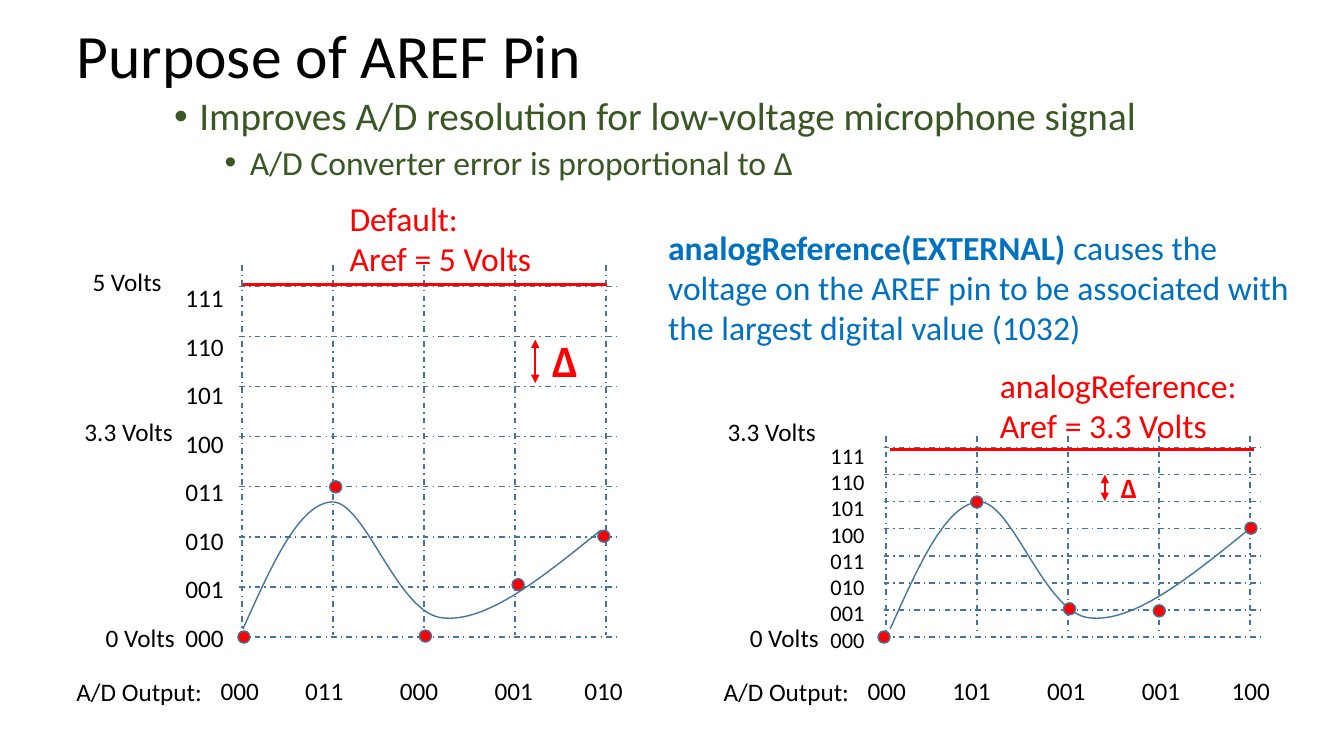
from dataclasses import dataclass

import pptx
import pptx.dml.color
import pptx.enum.dml
import pptx.enum.shapes
import pptx.enum.text
import pptx.oxml
import pptx.oxml.ns
import pptx.util

COLUMNS, ROWS = 133.33, 75  # grid over the whole slide
CURVE = [(0, 62.4), (2.8, 56.2), (5.5, 50), (8.8, 49.8), (12.1, 49.6), (15.3, 60.9),
         (19.8, 61.3), (24.2, 61.8), (29.8, 57.2), (35.5, 52.6)]


@dataclass(frozen=True)
class Theme:
    font: str = "Calibri"
    black: str = "000000"
    red: str = "FF0000"
    steel: str = "43739E"
    green: str = "385723"
    blue: str = "0070C0"
    title: float = 44
    bullet: float = 28
    body: float = 24
    label: float = 18
    code: float = 16
    thin: float = 1
    arrow: float = 1.5
    thick: float = 2.25


@dataclass(frozen=True)
class Plot:
    grid_left: float
    grid_top: float
    top_level: float
    curve_left: float
    reference: float
    code_box: tuple
    code_step: float
    code_size: float
    outputs: str
    samples: list


class SlideBuilder:
    def __init__(self, presentation, theme):
        self.theme = theme
        self.column = presentation.slide_width / COLUMNS
        self.row = presentation.slide_height / ROWS
        self.slide = presentation.slides.add_slide(presentation.slide_layouts[5])
        self.shapes = self.slide.shapes

    def place(self, left, top, width, height):
        """Turn columns and rows into slide lengths."""
        return (round(left * self.column), round(top * self.row),
                round(width * self.column), round(height * self.row))

    def color(self, value):
        return pptx.dml.color.RGBColor.from_string(value)

    def format_runs(self, paragraph, size, color, bold=False):
        for run in paragraph.runs:
            run.font.name = self.theme.font
            run.font.size = pptx.util.Pt(size)
            run.font.bold = bold
            run.font.color.rgb = self.color(color)

    def outline(self, shape, color, weight):
        shape.line.color.rgb = self.color(color)
        shape.line.width = pptx.util.Pt(weight)

    def title(self, text, box):
        shape = self.shapes.title
        shape.left, shape.top, shape.width, shape.height = self.place(*box)
        frame = shape.text_frame
        frame.text = text
        frame.auto_size = pptx.enum.text.MSO_AUTO_SIZE.NONE
        frame.vertical_anchor = pptx.enum.text.MSO_ANCHOR.MIDDLE
        paragraph = frame.paragraphs[0]
        paragraph.alignment = pptx.enum.text.PP_ALIGN.LEFT
        paragraph.line_spacing = 0.9
        self.format_runs(paragraph, self.theme.title, self.theme.black)

    def text(self, text, box, size, color, bold=False, wrap=False):
        shape = self.shapes.add_textbox(*self.place(*box))
        frame = shape.text_frame
        frame.text = text
        frame.word_wrap = wrap
        if not wrap:
            frame.auto_size = pptx.enum.text.MSO_AUTO_SIZE.SHAPE_TO_FIT_TEXT
        for paragraph in frame.paragraphs:
            self.format_runs(paragraph, size, color, bold)
        return frame

    def label(self, text, box):
        return self.text(text, box, self.theme.label, self.theme.black)

    def bullets(self, items, box):
        """Items are (text, size, left margin, space before)."""
        frame = self.text("\n".join(item[0] for item in items), box,
                          self.theme.body, self.theme.green, wrap=True)
        for level, (paragraph, item) in enumerate(zip(frame.paragraphs, items)):
            _, size, margin, space = item
            self.format_runs(paragraph, size, self.theme.green)
            paragraph.level = level
            paragraph.line_spacing = 0.9
            paragraph.space_before = pptx.util.Pt(space)
            properties = paragraph._p.get_or_add_pPr()
            properties.set("marL", str(round(margin * self.column)))
            properties.set("indent", str(round(-2.5 * self.column)))
            for tag, name, value in (("a:buFont", "typeface", "Arial"), ("a:buChar", "char", "•")):
                mark = pptx.oxml.ns.qn(tag)
                properties.append(properties.makeelement(mark, {name: value}))

    def tabbed(self, text, box, stops):
        frame = self.text(text, box, self.theme.label, self.theme.black, wrap=True)
        properties = frame.paragraphs[0]._p.get_or_add_pPr()
        tabs = properties.makeelement(pptx.oxml.ns.qn("a:tabLst"), {})
        for stop in stops:
            position = {"pos": str(round(stop * self.column)), "algn": "l"}
            tabs.append(tabs.makeelement(pptx.oxml.ns.qn("a:tab"), position))
        properties.append(tabs)

    def line(self, start, end, color, weight, dashed=False, arrows=False):
        start_x, start_y, end_x, end_y = self.place(*start, *end)
        connector = self.shapes.add_connector(
            pptx.enum.shapes.MSO_CONNECTOR.STRAIGHT, start_x, start_y, end_x, end_y)
        self.outline(connector, color, weight)
        if dashed:
            connector.line.dash_style = pptx.enum.dml.MSO_LINE.DASH_DOT
        properties = connector._element.spPr
        if arrows:
            stroke = connector.line._get_or_add_ln()
            for tag in ("a:headEnd", "a:tailEnd"):
                stroke.append(stroke.makeelement(pptx.oxml.ns.qn(tag), {"type": "triangle"}))
        properties.append(properties.makeelement(pptx.oxml.ns.qn("a:effectLst"), {}))

    def dot(self, x, y, size=1.2):
        shape = self.shapes.add_shape(
            pptx.enum.shapes.MSO_SHAPE.OVAL, *self.place(x - size / 2, y - size / 2, size, size))
        shape.shadow.inherit = False
        shape.fill.solid()
        shape.fill.fore_color.rgb = self.color(self.theme.red)
        self.outline(shape, self.theme.steel, self.theme.thin)

    def curve(self, points):
        """Draw cubic segments: a start, then two controls and an end for each."""
        spots = [self.place(x, y, 0, 0)[:2] for x, y in points]
        builder = self.shapes.build_freeform(*spots[0])
        builder.add_line_segments(spots[1:], close=False)
        shape = builder.convert_to_shape()
        shape.shadow.inherit = False
        shape.fill.background()
        self.outline(shape, self.theme.steel, self.theme.thin)
        outline = next(shape._element.iter(pptx.oxml.ns.qn("a:path")))
        segments = outline.findall(pptx.oxml.ns.qn("a:lnTo"))
        for first in range(0, len(segments), 3):
            cubic = outline.makeelement(pptx.oxml.ns.qn("a:cubicBezTo"), {})
            for segment in segments[first:first + 3]:
                cubic.append(segment[0])
                outline.remove(segment)
            outline.append(cubic)

    def plot(self, plot):
        theme, bottom = self.theme, 63.2
        for index in range(5):
            x = plot.grid_left + 9.03 * index
            self.line((x, plot.grid_top), (x, 63), theme.steel, theme.thin, dashed=True)
        for index in range(8):
            y = bottom - (bottom - plot.top_level) * index / 7
            self.line((plot.grid_left - 0.25, y), (plot.grid_left + 37.4, y),
                      theme.steel, theme.thin, dashed=True)
            left, top, width, height = plot.code_box
            self.text(f"{index:03b}", (left, top - plot.code_step * index, width, height),
                      plot.code_size, theme.black)
        left = plot.curve_left
        self.curve([(left + x, y) for x, y in CURVE])
        for sample in plot.samples:
            self.dot(*sample)
        self.line((left, plot.reference), (left + 36.1, plot.reference), theme.red, theme.thick)
        self.label("A/D Output:", (left - 17.5, 66.6, 14.6, 4))
        self.tabbed(plot.outputs, (left - 3.2, 66.5, 42.6, 4), (8.4, 17.8, 27.2, 36.1))


def main():
    presentation = pptx.Presentation()
    presentation.slide_width = pptx.util.Inches(13.33)
    presentation.slide_height = pptx.util.Inches(7.5)
    theme = Theme()
    builder = SlideBuilder(presentation, theme)

    builder.title("Purpose of AREF Pin", (6.6, 1.3, 120, 9.1))
    builder.bullets([
        ("Improves A/D resolution for low-voltage microphone signal", theme.bullet, 2.5, 10),
        ("A/D Converter error is proportional to Δ", theme.body, 7.5, 5),
    ], (16.3, 9.1, 110.3, 8.9))

    builder.plot(Plot(24, 26.3, 28.4, 24.1, 28.2, (17.4, 61.2, 5.9, 4), 4.81, theme.label,
                      "000\t011\t000\t001\t010",
                      [(24.2, 63.2), (33.3, 48.3), (42.2, 63.1), (51.4, 58), (59.9, 53.2)]))
    builder.plot(Plot(87.9, 43.3, 44.4, 88.3, 44.6, (81.4, 61.6, 5.4, 3.5), 2.61, theme.code,
                      "000\t101\t001\t001\t100",
                      [(87.7, 63.2), (96.9, 49.8), (106.1, 60.4), (115, 60.6), (124.1, 52.4)]))

    for text, left, top, width in (("5 Volts", 8.2, 25.9, 8.9), ("3.3 Volts", 7.4, 40.8, 10.9),
                                   ("0 Volts", 9.5, 61.2, 8.9), ("3.3 Volts", 71.2, 40.8, 10.9),
                                   ("0 Volts", 73.4, 61.2, 8.9)):
        builder.label(text, (left, top, width, 4))
    for text, box in (("Default:\nAref = 5 Volts", (33.7, 19.1, 20.2, 9.1)),
                      ("analogReference:\nAref = 3.3 Volts", (98.2, 35.7, 26.5, 9.1))):
        builder.text(text, box, theme.body, theme.red)
    for box, size, x, low, high in (((53.8, 32.5, 4.8, 6.4), 32, 53.1, 38, 33.7),
                                    ((110.2, 46.2, 3.7, 4.4), 20, 109.6, 49.7, 47.1)):
        builder.text("Δ", box, size, theme.red, bold=True)
        builder.line((x, low), (x, high), theme.red, theme.arrow, arrows=True)

    note = builder.text("analogReference(EXTERNAL)", (65.3, 22, 64.6, 13.1),
                        theme.body, theme.blue, wrap=True).paragraphs[0]
    note.add_run().text = (" causes the voltage on the AREF pin to be associated with "
                           "the largest digital value (1032)")
    builder.format_runs(note, theme.body, theme.blue)
    note.runs[0].font.bold = True

    presentation.save("out.pptx")


if __name__ == "__main__":
    main()
